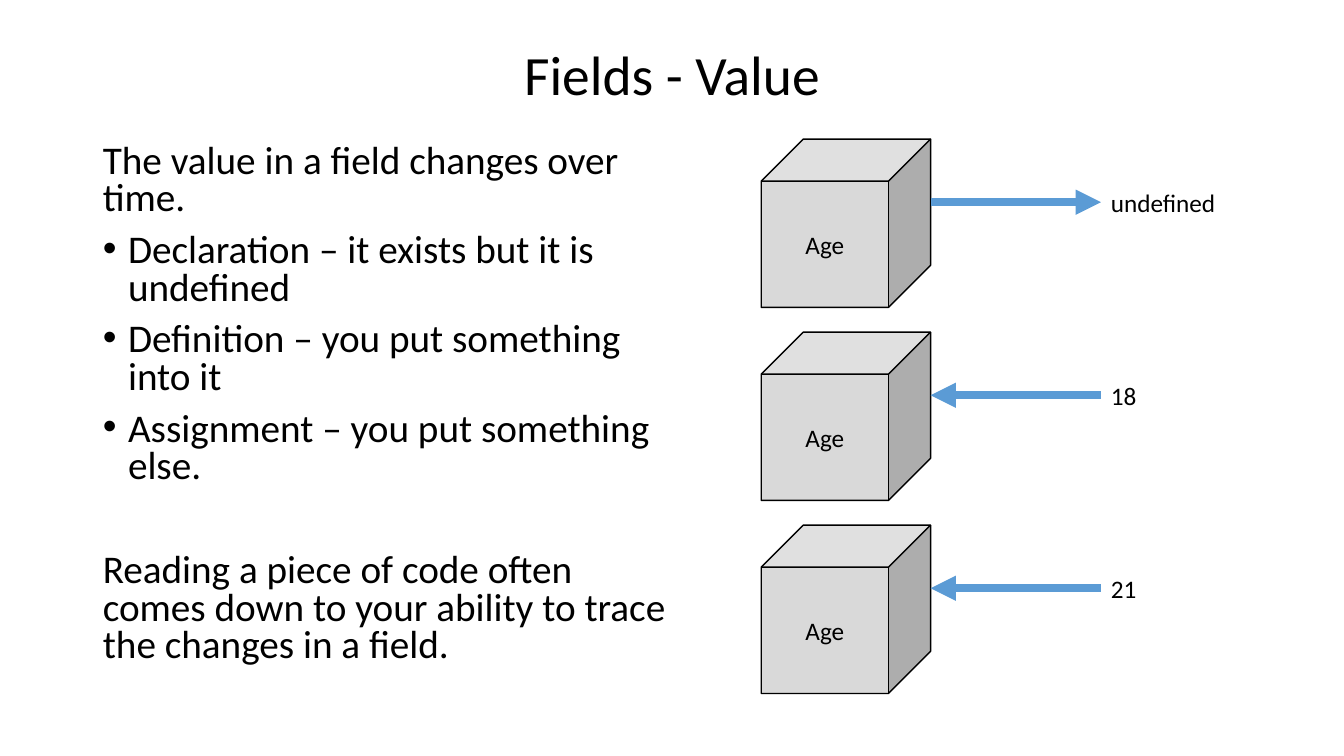
from lxml.etree import SubElement
from pptx import Presentation
from pptx.dml.color import RGBColor
from pptx.enum.shapes import MSO_CONNECTOR, MSO_SHAPE
from pptx.enum.text import MSO_ANCHOR, MSO_AUTO_SIZE, PP_ALIGN
from pptx.oxml.ns import qn
from pptx.util import Inches, Pt

TITLE = "Fields - Value"
# text, is it a bullet, points of space before
BODY = [
    ("The value in a field changes over time.", False, 10),
    ("Declaration – it exists but it is undefined", True, 10),
    ("Definition – you put something into it", True, 10),
    ("Assignment – you put something else.", True, 10),
    ("Reading a piece of code often comes down to your ability to trace "
     "the changes in a field.", False, 47),
]
FIELD = "Age"
# value, does the arrow run from the field to the value
STATES = [("undefined", True), ("18", False), ("21", False)]

COLORS = {"text": "000000", "box": "D9D9D9", "edge": "000000", "arrow": "5B9BD5"}
FONT = "Calibri"

SLIDE_W, SLIDE_H = 13.33, 7.5
MARGIN = 0.92
BODY_TOP = 1.38
CUBE_LEFT, CUBE_W, CUBE_H = 7.55, 1.68, 1.67
CUBE_DEPTH = 0.25  # share of the cube's shorter side
ROW_PITCH = 1.915
VALUE_LEFT, VALUE_W, VALUE_H = 10.92, 1.34, 0.4


def color(name):
    return RGBColor.from_string(COLORS[name])


def place(shape, left, top, width, height):
    shape.left, shape.top = Inches(left), Inches(top)
    shape.width, shape.height = Inches(width), Inches(height)


def write(paragraph, text, size):
    run = paragraph.add_run()
    run.text = text
    run.font.name = FONT
    run.font.size = Pt(size)
    run.font.color.rgb = color("text")


def set_bullet(paragraph, bulleted):
    props = paragraph._p.get_or_add_pPr()
    indent = Inches(0.25) if bulleted else 0
    props.set("marL", str(indent))
    props.set("indent", str(-indent))
    if bulleted:
        SubElement(props, qn("a:buFont"), typeface="Arial")
        SubElement(props, qn("a:buChar"), char="•")
    else:
        SubElement(props, qn("a:buNone"))


def add_cube(slide, top):
    cube = slide.shapes.add_shape(
        MSO_SHAPE.CUBE, Inches(CUBE_LEFT), Inches(top), Inches(CUBE_W), Inches(CUBE_H))
    cube.adjustments[0] = CUBE_DEPTH
    cube.shadow.inherit = False
    cube.fill.solid()
    cube.fill.fore_color.rgb = color("box")
    cube.line.color.rgb = color("edge")
    cube.line.width = Pt(1)
    cube.text_frame.vertical_anchor = MSO_ANCHOR.MIDDLE
    label = cube.text_frame.paragraphs[0]
    label.alignment = PP_ALIGN.CENTER
    write(label, FIELD, 18)


def add_value(slide, text, middle):
    value = slide.shapes.add_textbox(
        Inches(VALUE_LEFT), Inches(middle - VALUE_H / 2), Inches(VALUE_W), Inches(VALUE_H))
    value.text_frame.word_wrap = True
    value.text_frame.auto_size = MSO_AUTO_SIZE.SHAPE_TO_FIT_TEXT
    write(value.text_frame.paragraphs[0], text, 18)
    return value


def add_arrow(slide, value, middle, outward):
    y = Inches(middle)
    ends = [Inches(CUBE_LEFT + CUBE_W), Inches(VALUE_LEFT)]
    start, stop = ends if outward else reversed(ends)
    arrow = slide.shapes.add_connector(MSO_CONNECTOR.STRAIGHT, start, y, stop, y)
    join = arrow.end_connect if outward else arrow.begin_connect
    join(value, 1)
    arrow.line.color.rgb = color("arrow")
    arrow.line.width = Pt(6)
    SubElement(arrow.line._get_or_add_ln(), qn("a:tailEnd"), type="triangle")
    SubElement(arrow._element.spPr, qn("a:effectLst"))


def main():
    deck = Presentation()
    deck.slide_width, deck.slide_height = Inches(SLIDE_W), Inches(SLIDE_H)
    slide = deck.slides.add_slide(deck.slide_layouts[1])
    title, body = slide.placeholders

    place(title, MARGIN, 0.4, SLIDE_W - 2 * MARGIN, 0.73)
    title.text_frame.auto_size = MSO_AUTO_SIZE.NONE
    title.text_frame.vertical_anchor = MSO_ANCHOR.MIDDLE
    heading = title.text_frame.paragraphs[0]
    heading.alignment = PP_ALIGN.CENTER
    heading.line_spacing = 0.9
    write(heading, TITLE, 39.6)

    place(body, MARGIN, BODY_TOP, 5.95, 5.37)
    frame = body.text_frame
    frame.auto_size = MSO_AUTO_SIZE.NONE
    for index, (text, bulleted, space) in enumerate(BODY):
        paragraph = frame.add_paragraph() if index else frame.paragraphs[0]
        paragraph.line_spacing = 0.8
        paragraph.space_before = Pt(space)
        set_bullet(paragraph, bulleted)
        write(paragraph, text, 28)

    for row, (text, outward) in enumerate(STATES):
        top = BODY_TOP + row * ROW_PITCH
        side_middle = top + CUBE_H * (1 - CUBE_DEPTH) / 2
        add_cube(slide, top)
        value = add_value(slide, text, side_middle)
        add_arrow(slide, value, side_middle, outward)

    deck.save("out.pptx")


if __name__ == "__main__":
    main()
